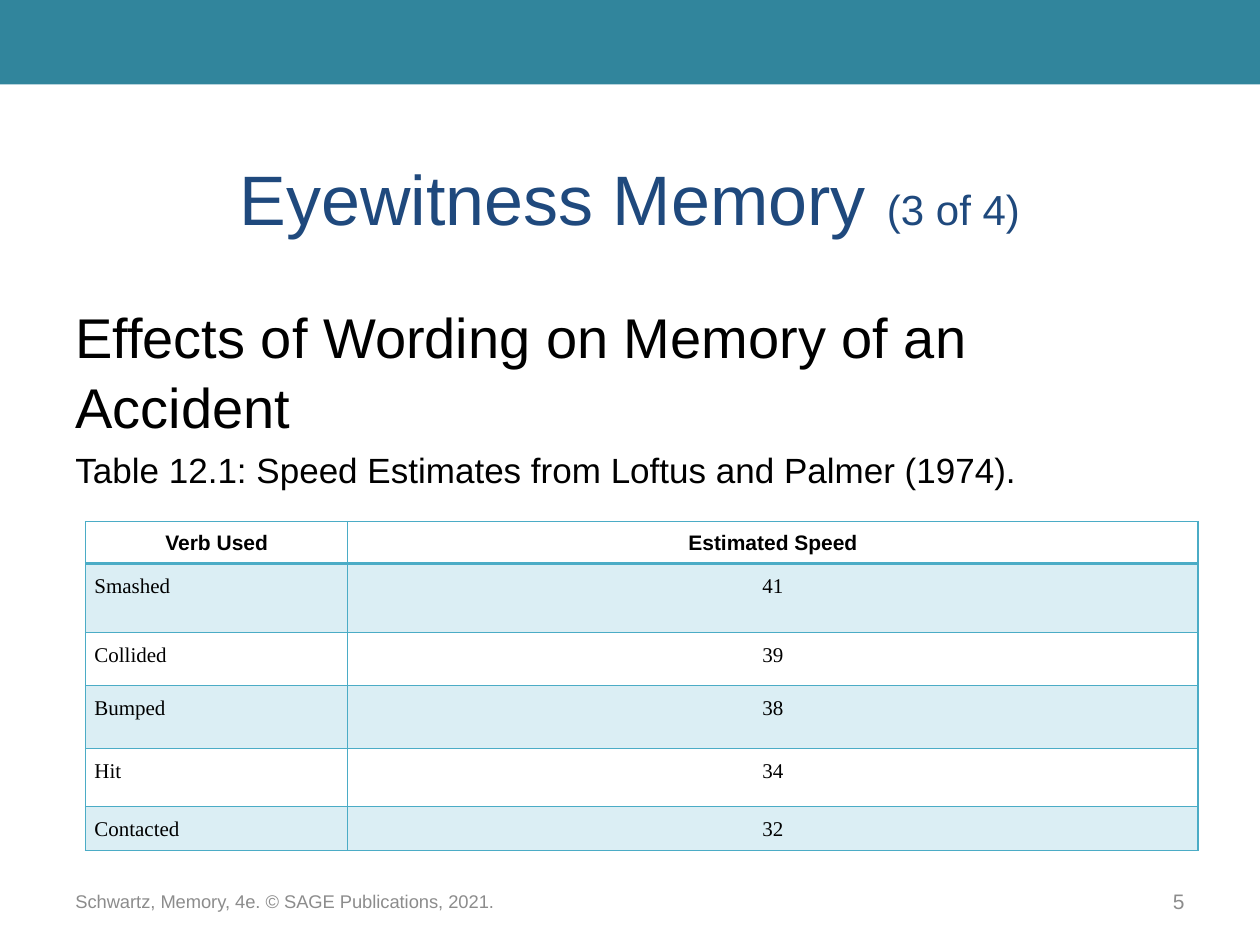
from lxml import etree
from pptx import Presentation
from pptx.dml.color import RGBColor
from pptx.enum.shapes import MSO_SHAPE
from pptx.enum.text import MSO_ANCHOR, PP_ALIGN
from pptx.oxml.ns import qn
from pptx.util import Inches, Pt

RECT = MSO_SHAPE.RECTANGLE
TOP, MIDDLE = MSO_ANCHOR.TOP, MSO_ANCHOR.MIDDLE
LEFT, CENTER, RIGHT = PP_ALIGN.LEFT, PP_ALIGN.CENTER, PP_ALIGN.RIGHT

TEAL = RGBColor(0x31, 0x85, 0x9C)
NAVY = RGBColor(0x1F, 0x49, 0x7D)
BLACK = RGBColor(0, 0, 0)
GRAY = RGBColor(0x8C, 0x8C, 0x8C)
AQUA = RGBColor(0x4B, 0xAC, 0xC6)
PALE_AQUA = RGBColor(0xDB, 0xEE, 0xF4)

SANS, SERIF = "Arial", "Times New Roman"
SPEEDS = [("Smashed", "41"), ("Collided", "39"), ("Bumped", "38"),
          ("Hit", "34"), ("Contacted", "32")]


class SlideBuilder:
    def __init__(self, prs):
        self.s = prs.slides.add_slide(prs.slide_layouts[6])

    def band(self, x, y, w, h, color):
        sp = self.s.shapes.add_shape(RECT, Inches(x), Inches(y), Inches(w), Inches(h))
        sp.shadow.inherit = False
        sp.fill.solid()
        sp.fill.fore_color.rgb = color
        sp.line.fill.background()

    def run(self, p, text, size, color, font=SANS, bold=False):
        r = p.add_run()
        r.text = text
        r.font.name = font
        r.font.size = Pt(size)
        r.font.bold = bold
        r.font.color.rgb = color

    def text(self, x, y, w, h, paragraphs, color, align=LEFT, anchor=MIDDLE,
             spacing=1.0, before=0):
        sp = self.s.shapes.add_textbox(Inches(x), Inches(y), Inches(w), Inches(h))
        tf = sp.text_frame
        tf.word_wrap = True
        tf.vertical_anchor = anchor
        for i, runs in enumerate(paragraphs):
            p = tf.add_paragraph() if i else tf.paragraphs[0]
            p.alignment = align
            p.line_spacing = spacing
            if i:
                p.space_before = Pt(before)
            for text, size in runs:
                self.run(p, text, size, color)

    def borders(self, cell, widths):
        tcPr = cell._tc.get_or_add_tcPr()
        for i, (side, width) in enumerate(widths.items()):
            ln = etree.Element(qn(f"a:ln{side}"), w=str(Pt(width)))
            fill = etree.SubElement(ln, qn("a:solidFill"))
            etree.SubElement(fill, qn("a:srgbClr"), val=str(AQUA))
            tcPr.insert(i, ln)

    def cell(self, cell, text, row, col):
        header = row == 0
        cell.margin_left = cell.margin_right = Inches(0.07)
        cell.margin_top = cell.margin_bottom = 0
        cell.vertical_anchor = MIDDLE if header else TOP
        if row % 2:
            cell.fill.solid()
            cell.fill.fore_color.rgb = PALE_AQUA
        else:
            cell.fill.background()
        p = cell.text_frame.paragraphs[0]
        p.alignment = CENTER if header or col else LEFT
        p.line_spacing = 1.07 if header else 1.5
        p.space_after = Pt(0 if header else 12)
        self.run(p, text, 12, BLACK, SANS if header else SERIF, header)
        self.borders(cell, {"L": 1, "R": 1, "T": 2 if row == 1 else 1,
                            "B": 2 if header else 1})

    def table(self, x, y, widths, heights, rows):
        table = self.s.shapes.add_table(
            len(rows), len(widths), Inches(x), Inches(y),
            Inches(sum(widths)), Inches(sum(heights))).table
        for column, width in zip(table.columns, widths):
            column.width = Inches(width)
        for i, (height, values) in enumerate(zip(heights, rows)):
            table.rows[i].height = Inches(height)
            for j, value in enumerate(values):
                self.cell(table.cell(i, j), value, i, j)


def main():
    prs = Presentation()
    prs.slide_width, prs.slide_height = Inches(10), Inches(7.5)
    slide = SlideBuilder(prs)
    slide.band(0, 0, 10, 0.67, TEAL)
    slide.text(0.5, 0.92, 9, 1.25,
               [[("Eyewitness Memory", 40), (" ", 44), ("(3 of 4)", 24)]],
               NAVY, CENTER)
    slide.text(0.5, 2.33, 9.02, 1.25,
               [[("Effects of Wording on Memory of an Accident", 32)],
                [("Table 12.1: Speed Estimates from Loftus and Palmer (1974).", 20)]],
               BLACK, anchor=TOP, spacing=1.04, before=4)
    slide.table(0.68, 4.14, [2.08, 6.75], [0.33, 0.55, 0.42, 0.5, 0.46, 0.35],
                [("Verb Used", "Estimated Speed")] + SPEEDS)
    slide.text(0.5, 6.95, 8.25, 0.4,
               [[("Schwartz, Memory, 4e. © SAGE Publications, 2021.", 10.5)]], GRAY)
    slide.text(9, 6.95, 0.5, 0.4, [[("5", 12)]], GRAY, RIGHT)
    prs.save("out.pptx")


if __name__ == "__main__":
    main()
